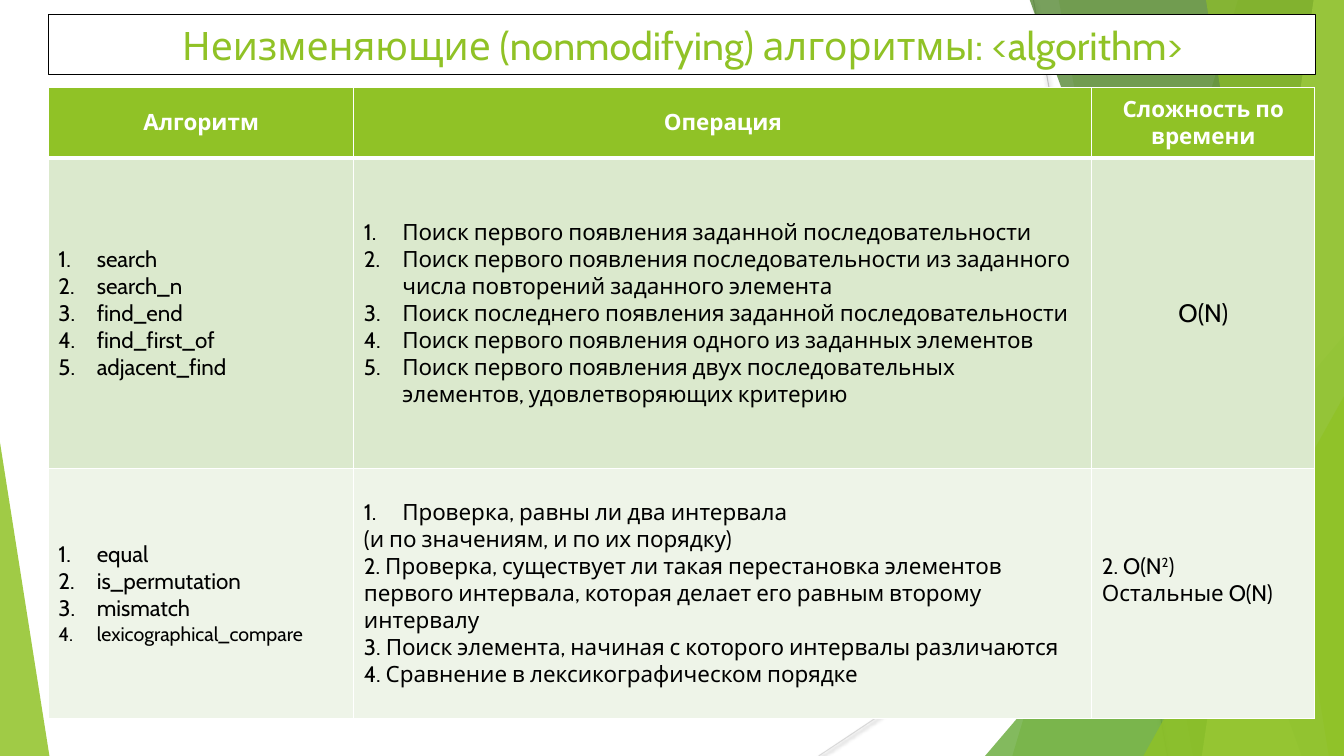
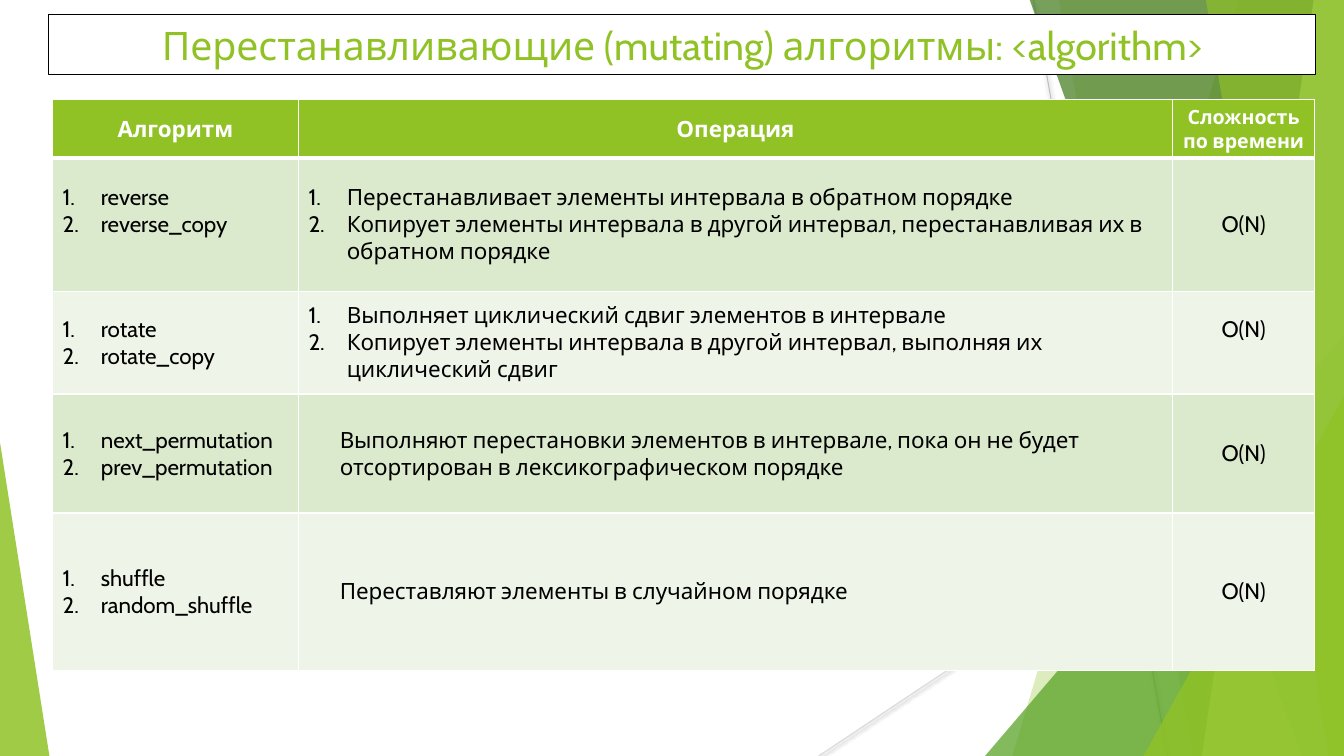
from lxml import etree
from pptx import Presentation
from pptx import util as u
from pptx.dml.color import RGBColor
from pptx.enum import shapes, text
from pptx.oxml.ns import qn

FONT = "Cabin"
COLORS = {
    "green": "90C226", "mid": "54A021", "dark": "3F7819", "lime": "C0E474",
    "band1": "DBE9CD", "band2": "EEF4E8", "white": "FFFFFF", "black": "000000",
    "gray": "BFBFBF", "pale": "D9D9D9",
}
WIDTH, HEIGHT = 13.33, 7.5
CENTER = text.PP_ALIGN.CENTER


def rgb(name):
    return RGBColor.from_string(COLORS[name])


def sub(parent, tag, **attrs):
    """Append a DrawingML child element."""
    return etree.SubElement(parent, qn(tag), {k: str(v) for k, v in attrs.items()})


def write(p, parts, size=16, color="black", bold=False, align=None,
          left=0, numbered=False):
    """Fill a paragraph; in a tuple of parts every second one is superscript."""
    if align is not None:
        p.alignment = align
    if numbered:
        left = 0.38
    pPr = p._p.get_or_add_pPr()
    pPr.set("marL", str(u.Inches(left)))
    pPr.set("indent", str(u.Inches(-left if numbered else 0)))
    if numbered:
        sub(pPr, "a:buAutoNum", type="arabicPeriod")
    for i, part in enumerate((parts,) if isinstance(parts, str) else parts):
        r = p.add_run()
        r.text = part
        r.font.name, r.font.size, r.font.bold = FONT, u.Pt(size), bold
        r.font.color.rgb = rgb(color)
        if i % 2:
            r._r.get_or_add_rPr().set("baseline", "30000")


def plain(*lines, **fmt):
    return [(line, fmt) for line in lines]


def numbered(*lines, **fmt):
    return plain(*lines, numbered=True, **fmt)


def centered(line, **fmt):
    return plain(line, align=CENTER, **fmt)


def header(last_size=16):
    fmt = dict(color="white", bold=True)
    return [centered("Алгоритм", **fmt), centered("Операция", **fmt),
            centered("Сложность по времени", size=last_size, **fmt)]


class Deck:
    def __init__(self):
        self.prs = Presentation()
        self.prs.slide_width = u.Inches(WIDTH)
        self.prs.slide_height = u.Inches(HEIGHT)
        self.layout = self.prs.slide_layouts[5]
        self.s = None

    def slide(self, title):
        self.s = self.prs.slides.add_slide(self.layout)
        sp = self.s.shapes.title
        sp.left, sp.top = u.Inches(0.48), u.Inches(0.14)
        sp.width, sp.height = u.Inches(12.57), u.Inches(0.6)
        sp.fill.solid()
        sp.fill.fore_color.rgb = rgb("white")
        sp.line.color.rgb = rgb("black")
        sp.line.width = u.Pt(0.75)
        tf = sp.text_frame
        tf.word_wrap = True
        tf.auto_size = text.MSO_AUTO_SIZE.NONE
        tf.vertical_anchor = text.MSO_ANCHOR.MIDDLE
        write(tf.paragraphs[0], title, size=28, color="green", align=CENTER)

    def line(self, x1, y1, x2, y2, color):
        cn = self.s.shapes.add_connector(
            shapes.MSO_CONNECTOR.STRAIGHT, *map(u.Inches, (x1, y1, x2, y2)))
        cn.line.color.rgb = rgb(color)
        cn.line.width = u.Pt(0.75)
        effects = sub(cn.element.spPr, "a:effectLst")
        shadow = sub(effects, "a:outerShdw", blurRad=u.Pt(3.1), dist=u.Pt(1.6),
                     dir=5400000, rotWithShape=0)
        sub(sub(shadow, "a:srgbClr", val=COLORS["black"]), "a:alpha", val=38000)
        return cn

    def glass(self, sp, color, opacity):
        sp.shadow.inherit = False
        sp.fill.solid()
        sp.fill.fore_color.rgb = rgb(color)
        clr = sp.element.spPr.find(qn("a:solidFill")).find(qn("a:srgbClr"))
        sub(clr, "a:alpha", val=opacity * 1000)
        sp.line.fill.background()
        return sp

    def band(self, top_x, bottom_x, color, opacity):
        """Slanted band that reaches the right edge of the slide."""
        points = [(u.Inches(x), u.Inches(y)) for x, y in (
            (top_x, -0.01), (WIDTH, -0.01), (WIDTH, HEIGHT), (bottom_x, HEIGHT))]
        builder = self.s.shapes.build_freeform(*points[0])
        builder.add_line_segments(points[1:], close=True)
        return self.glass(builder.convert_to_shape(), color, opacity)

    def corner(self, x, y, w, apex, color, opacity):
        """Right triangle that stands on the bottom edge."""
        sp = self.s.shapes.add_shape(
            shapes.MSO_SHAPE.ISOSCELES_TRIANGLE, *map(u.Inches, (x, y, w, HEIGHT - y)))
        sp.adjustments[0] = apex
        return self.glass(sp, color, opacity)

    def backdrop(self):
        """Draw the facets once and hand them to the shared layout."""
        parts = [
            self.line(10.25, 0, 11.58, 7.5, "gray"),
            self.line(WIDTH, 4.03, 8.12, 7.5, "pale"),
            self.band(12.28, 10.04, "green", 30),
            self.band(10.5, 11.83, "green", 20),
            self.corner(9.77, 3.33, 3.56, 1, "mid", 72),
            self.band(10.21, 12.91, "dark", 70),
            self.band(13.03, 11.92, "lime", 70),
            self.band(11.96, 13.18, "green", 65),
            self.corner(11.34, 3.93, 1.99, 1, "green", 80),
            self.corner(0, 4.39, 0.49, 0, "green", 85),
        ]
        tree = self.layout.shapes.element
        for ph in list(self.layout.placeholders)[1:]:
            tree.remove(ph.element)
        for i, part in enumerate(parts):
            tree.insert(2 + i, part.element)

    def cell(self, cell, lines, fill, top, bottom, raised):
        tcPr = cell._tc.get_or_add_tcPr()
        for side, width in zip("LRTB", (1, 1, top, bottom)):
            ln = sub(tcPr, "a:ln" + side, w=u.Pt(width))
            sub(sub(ln, "a:solidFill"), "a:srgbClr", val=COLORS["white"])
        cell.fill.solid()
        cell.fill.fore_color.rgb = rgb(fill)
        cell.vertical_anchor = text.MSO_ANCHOR.MIDDLE
        if raised:
            cell.margin_bottom = u.Inches(0.32)
        tf = cell.text_frame
        for i, (line, fmt) in enumerate(lines):
            write(tf.add_paragraph() if i else tf.paragraphs[0], line, **fmt)

    def table(self, x, y, cols, heights, rows, raised):
        frame = self.s.shapes.add_table(
            len(rows), len(cols),
            *map(u.Inches, (x, y, sum(cols), sum(heights))))
        tbl = frame.table
        tbl.first_row = tbl.horz_banding = False
        for col, w in zip(tbl.columns, cols):
            col.width = u.Inches(w)
        for i, (row, h) in enumerate(zip(rows, heights)):
            tbl.rows[i].height = u.Inches(h)
            fill = "green" if i == 0 else "band1" if i % 2 else "band2"
            for j, lines in enumerate(row):
                self.cell(tbl.cell(i, j), lines, fill, top=3 if i == 1 else 1,
                          bottom=3 if i == 0 else 1, raised=(i, j) in raised)


deck = Deck()

# Non-modifying algorithms
deck.slide("Неизменяющие (nonmodifying) алгоритмы: <algorithm>")
deck.backdrop()
deck.table(0.48, 0.87, [3.03, 7.32, 2.21], [0.7, 3.08, 2.48], [
    header(),
    [numbered("search", "search_n", "find_end", "find_first_of", "adjacent_find"),
     numbered(
         "Поиск первого появления заданной последовательности",
         "Поиск первого появления последовательности из заданного числа "
         "повторений заданного элемента",
         "Поиск последнего появления заданной последовательности",
         "Поиск первого появления одного из заданных элементов",
         "Поиск первого появления двух последовательных элементов, "
         "удовлетворяющих критерию"),
     centered("O(N)", size=18)],
    [numbered("equal", "is_permutation", "mismatch")
     + numbered("lexicographical_compare", size=14),
     numbered("Проверка, равны ли два интервала") + plain(
         "(и по значениям, и по их порядку)",
         "2. Проверка, существует ли такая перестановка элементов первого "
         "интервала, которая делает его равным второму интервалу",
         "3. Поиск элемента, начиная с которого интервалы различаются",
         "4. Сравнение в лексикографическом порядке"),
     plain(("2. O(N", "2", ")"), "Остальные O(N)")],
], raised={(2, 2)})

# Mutating algorithms
deck.slide("Перестанавливающие (mutating) алгоритмы: <algorithm>")
linear = centered("O(N)")
deck.table(0.52, 0.99, [2.44, 8.67, 1.41], [0.58, 1.32, 1.02, 1.18, 1.56], [
    header(last_size=14),
    [numbered("reverse", "reverse_copy"),
     numbered(
         "Перестанавливает элементы интервала в обратном порядке",
         "Копирует элементы интервала в другой интервал, перестанавливая их "
         "в обратном порядке"),
     linear],
    [numbered("rotate", "rotate_copy"),
     numbered(
         "Выполняет циклический сдвиг элементов в интервале",
         "Копирует элементы интервала в другой интервал, выполняя их "
         "циклический сдвиг"),
     linear],
    [numbered("next_permutation", "prev_permutation"),
     plain("Выполняют перестановки элементов в интервале, пока он не будет "
           "отсортирован в лексикографическом порядке", left=0.31),
     linear],
    [numbered("shuffle", "random_shuffle"),
     plain("Переставляют элементы в случайном порядке", left=0.31),
     linear],
], raised={(1, 0), (2, 2)})

deck.prs.save("out.pptx")
